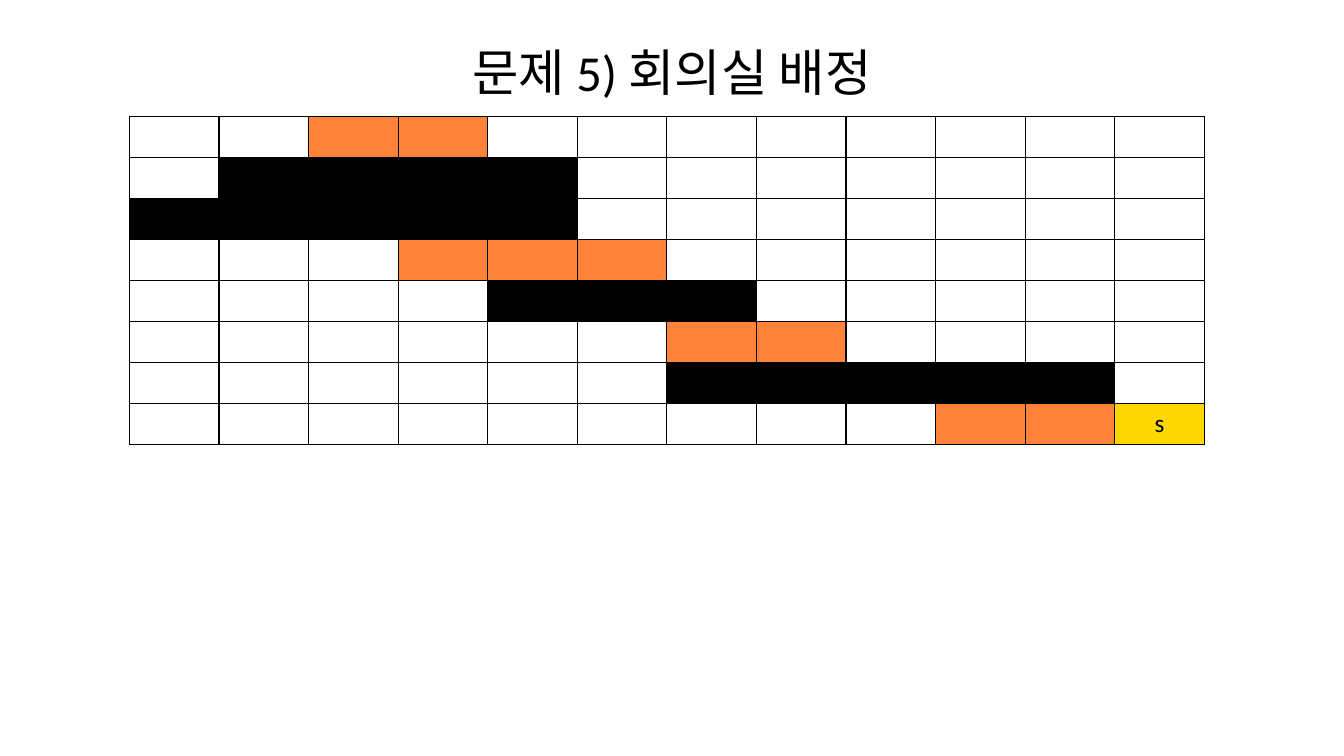
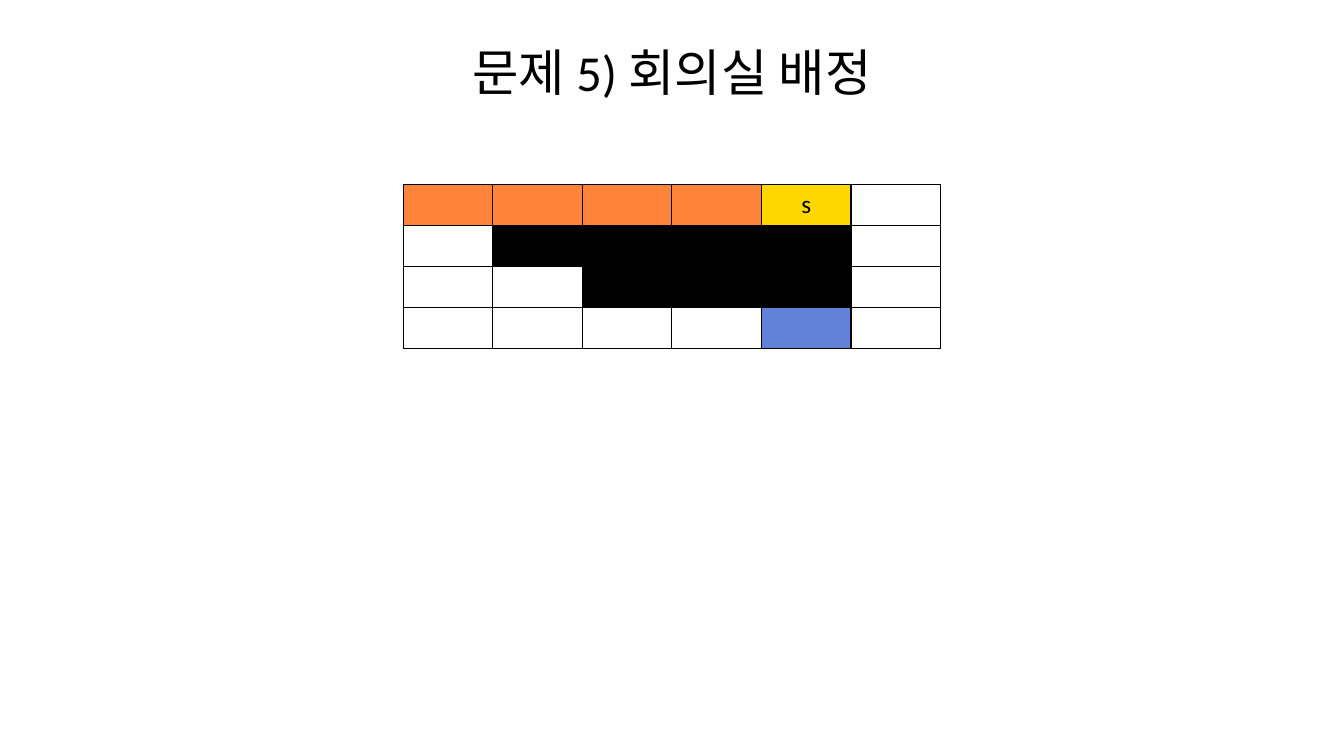
import pptx
import pptx.dml.color
import pptx.enum.text
import pptx.oxml
import pptx.oxml.ns
import pptx.util

Pt = pptx.util.Pt
RGB = pptx.dml.color.RGBColor.from_string

TITLE = "문제 5) 회의실 배정"

# Each letter is one hour: . free, o chosen meeting, x rejected meeting,
# s starting point, n next candidate
SCHEDULES = [
    {
        "left": 92.5,
        "top": 83,
        "hours": [
            "..oo........",
            ".xxxx.......",
            "xxxxx.......",
            "...ooo......",
            "....xxx.....",
            "......oo....",
            "......xxxxx.",
            ".........oos",
        ],
    },
    {
        "left": 288,
        "top": 132,
        "hours": [
            "oooos.",
            ".xxxx.",
            "..xxx.",
            "....n.",
        ],
    },
]
LABELS = {"s": "s"}

THEME = {
    "slide": (960, 540),
    "title_box": {"left": 48, "top": 29, "width": 864, "height": 44.6},
    "title_font": {"name": "Calibri", "size": Pt(36), "bold": False},
    "cell_font": {"name": "Calibri", "size": Pt(18), "bold": False},
    "ink": "000000",
    "fills": {".": "FFFFFF", "o": "FF843A", "x": "000000", "s": "FFD700", "n": "6182D6"},
    "border": 1,
    "column": 64,
    "row": 29.3,
}


def style_paragraph(paragraph, font_values):
    paragraph.alignment = pptx.enum.text.PP_ALIGN.CENTER
    for name, value in font_values.items():
        setattr(paragraph.font, name, value)
    paragraph.font.color.rgb = RGB(THEME["ink"])


def add_title(slide):
    title = slide.shapes.title
    for side, length in THEME["title_box"].items():
        setattr(title, side, Pt(length))
    frame = title.text_frame
    frame.text = TITLE
    frame.auto_size = pptx.enum.text.MSO_AUTO_SIZE.NONE
    frame.vertical_anchor = pptx.enum.text.MSO_ANCHOR.MIDDLE
    style_paragraph(frame.paragraphs[0], THEME["title_font"])


def add_borders(cell):
    properties = cell._tc.get_or_add_tcPr()
    for side in ("lnL", "lnR", "lnT", "lnB"):
        properties.append(pptx.oxml.parse_xml(
            f'<a:{side} {pptx.oxml.ns.nsdecls("a")} w="{Pt(THEME["border"])}">'
            f'<a:solidFill><a:srgbClr val="{THEME["ink"]}"/></a:solidFill></a:{side}>'
        ))


def fill_hour(cell, state):
    add_borders(cell)
    cell.fill.solid()
    cell.fill.fore_color.rgb = RGB(THEME["fills"][state])
    cell.text = LABELS.get(state, "")
    style_paragraph(cell.text_frame.paragraphs[0], THEME["cell_font"])


def add_schedule(slide, schedule):
    hours = schedule["hours"]
    rows, columns = len(hours), len(hours[0])
    table = slide.shapes.add_table(
        rows, columns, Pt(schedule["left"]), Pt(schedule["top"]),
        Pt(columns * THEME["column"]), Pt(rows * THEME["row"]),
    ).table
    table.first_row = table.horz_banding = False
    for column in table.columns:
        column.width = Pt(THEME["column"])
    for row, states in zip(table.rows, hours):
        row.height = Pt(THEME["row"])
        for cell, state in zip(row.cells, states):
            fill_hour(cell, state)


def main():
    deck = pptx.Presentation()
    deck.slide_width, deck.slide_height = map(Pt, THEME["slide"])
    title_only = deck.slide_layouts.get_by_name("Title Only")
    for schedule in SCHEDULES:
        slide = deck.slides.add_slide(title_only)
        add_title(slide)
        add_schedule(slide, schedule)
    deck.save("out.pptx")


if __name__ == "__main__":
    main()
